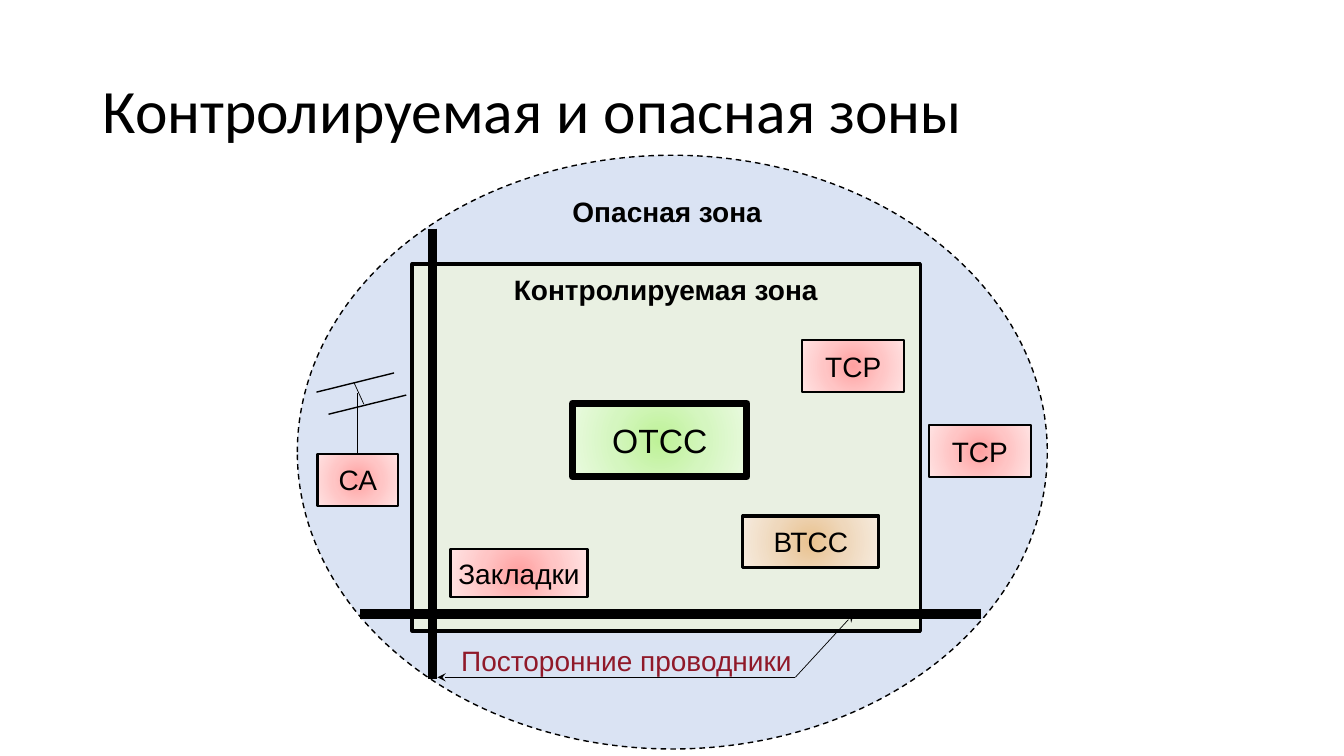
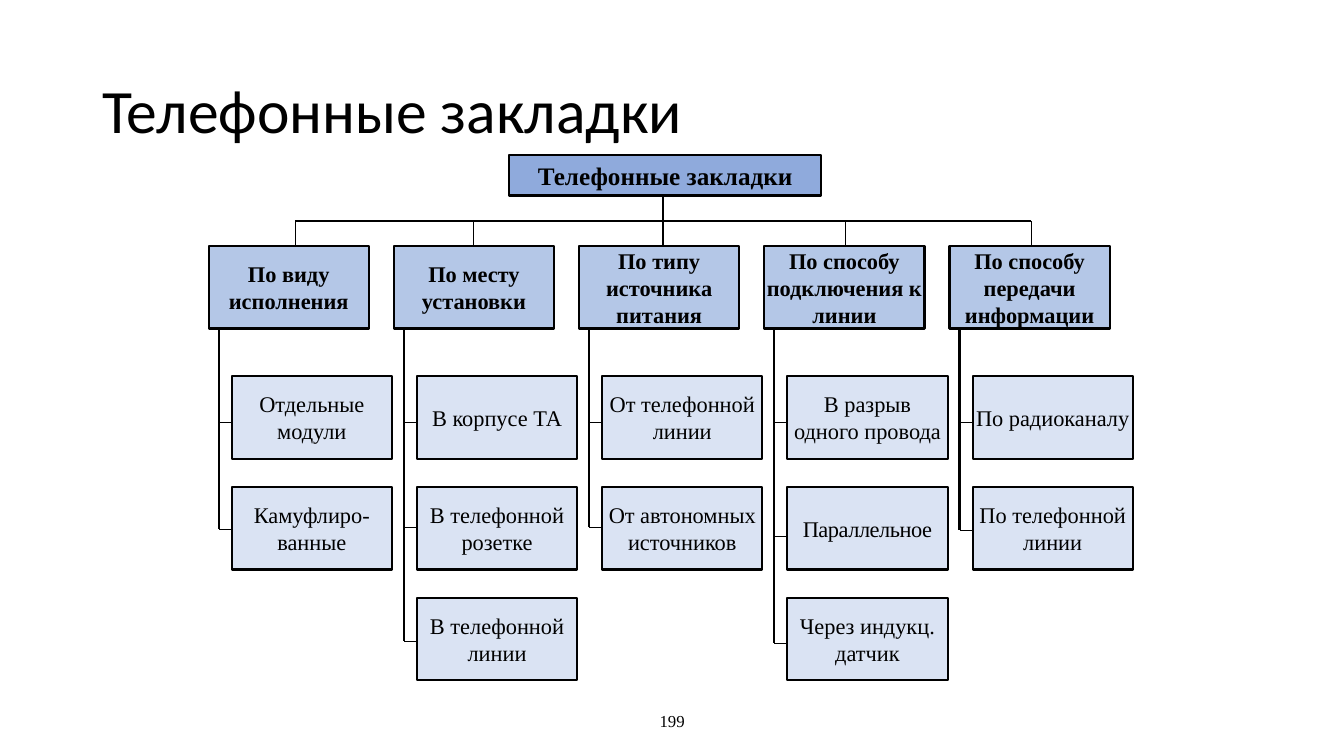
"""Builds two slides: controlled and dangerous zones, and a tree of telephone bugs."""
from dataclasses import dataclass
from typing import NamedTuple

from lxml import etree
from pptx import Presentation
from pptx.dml.color import RGBColor
from pptx.enum.dml import MSO_LINE
from pptx.enum.shapes import MSO_CONNECTOR, MSO_SHAPE
from pptx.enum.text import MSO_ANCHOR, PP_ALIGN
from pptx.oxml import parse_xml
from pptx.oxml.ns import nsdecls, qn
from pptx.slide import Slide
from pptx.util import Pt

RECTANGLE = MSO_SHAPE.RECTANGLE
OVAL = MSO_SHAPE.OVAL
STRAIGHT = MSO_CONNECTOR.STRAIGHT
DASH = MSO_LINE.DASH
TOP = MSO_ANCHOR.TOP
MIDDLE = MSO_ANCHOR.MIDDLE
LEFT = PP_ALIGN.LEFT
CENTER = PP_ALIGN.CENTER


class Rect(NamedTuple):
    left: float
    top: float
    width: float
    height: float


class Insets(NamedTuple):
    side: float
    edge: float


@dataclass(frozen=True)
class TextStyle:
    font: str
    size: float
    color: str = "000000"
    bold: bool = False
    align: PP_ALIGN = CENTER
    anchor: MSO_ANCHOR = MIDDLE
    insets: Insets = Insets(7.2, 3.6)
    line_spacing: float = 1.0


@dataclass(frozen=True)
class Theme:
    ink: str = "000000"
    danger: str = "DAE3F3"
    controlled: str = "E9F0E2"
    green: tuple[str, ...] = ("BEF297", "D5F6C0", "EAFAE0")
    orange: tuple[str, ...] = ("E9C28F", "EFD8BC", "F6EBDE")
    red: tuple[str, ...] = ("FFA0A0", "FFC5C5", "FFE3E3")
    root: str = "8FAADC"
    heading: str = "B4C7E7"
    leaf: str = "DAE3F3"
    title_text: TextStyle = TextStyle("Calibri", 44, align=LEFT, line_spacing=0.9)
    zone_text: TextStyle = TextStyle("Arial", 20, bold=True, anchor=TOP)
    device_text: TextStyle = TextStyle("Arial", 20, insets=Insets(2.9, 3.6))
    main_text: TextStyle = TextStyle("Arial", 24)
    wire_text: TextStyle = TextStyle("Arial", 20, "901929", insets=Insets(7.2, 2.9))
    root_text: TextStyle = TextStyle("Times New Roman", 18, bold=True)
    heading_text: TextStyle = TextStyle("Times New Roman", 16, bold=True, insets=Insets(1.44, 3.6))
    leaf_text: TextStyle = TextStyle("Times New Roman", 16, insets=Insets(1.44, 3.6))
    number_text: TextStyle = TextStyle("Times New Roman", 12)


@dataclass(frozen=True)
class Device:
    text: str
    rect: Rect
    colors: tuple[str, ...]
    line_width: float
    style: TextStyle


@dataclass(frozen=True)
class Line:
    x1: float
    y1: float
    x2: float
    y2: float
    width: float
    arrow_end: str = ""


@dataclass(frozen=True)
class Column:
    heading: str
    stub_x: float
    leaves: tuple[str, ...]
    branches: tuple[float, ...]


THEME = Theme()
TITLE_RECT = Rect(66.2, 28.8, 828, 104.4)
NUMBER_RECT = Rect(318.2, 500.4, 324, 28.8)

DEVICES = (
    Device("ВТСС", Rect(530.6, 368.6, 97.2, 36.7), THEME.orange, 2.25, THEME.device_text),
    Device("ОТСС", Rect(409, 288, 124.6, 52.6), THEME.green, 5, THEME.main_text),
    Device("ТСР", Rect(573.1, 242.6, 72.7, 37.4), THEME.red, 1.5, THEME.device_text),
    Device("Закладки", Rect(321.8, 392.4, 97.9, 33.8), THEME.red, 1.5, THEME.device_text),
    Device("ТСР", Rect(663.5, 303.5, 72.7, 37.4), THEME.red, 1.5, THEME.device_text),
    Device("СА", Rect(226.8, 324, 57.6, 37.4), THEME.red, 1.5, THEME.device_text),
)
ZONE_LINES = (
    Line(308.9, 163.4, 308.9, 485.3, 6.75),
    Line(257, 438.5, 700.6, 438.5, 6.75),
    Line(226.1, 280.1, 281.5, 266.4, 1),
    Line(234.7, 295.9, 290.2, 282.2, 1),
    Line(252.7, 272.9, 259.9, 288.7, 0.5),
    Line(255.6, 280.8, 255.6, 324, 0.5),
    Line(312.5, 483.8, 568.1, 483.8, 0.25, "headEnd"),
    Line(568.1, 483.8, 609.8, 438.5, 0.5, "tailEnd"),
)

ROOT_RECT = Rect(363.6, 110.9, 223.2, 28.8)
BUS_Y = 157.7
STEM_X = 473.8
FIRST_HEADING = Rect(149, 175.7, 114.5, 59)
COLUMN_PITCH = 132.3
LEAF_INDENT = 16.5
LEAF_TOP = 268.6
LEAF_PITCH = 79.2
TRUNK_INDENT = 7.2
TIGHT_LEAF = "Параллельное"
COLUMNS = (
    Column("По виду исполнения", 211, ("Отдельные модули", "Камуфлиро-ванные"), (301.7, 378)),
    Column("По месту установки", 338.4,
           ("В корпусе ТА", "В телефонной розетке", "В телефонной линии"), (301.7, 376.6, 457.9)),
    Column("По типу источника питания", STEM_X,
           ("От телефонной линии", "От автономных источников"), (301.7, 376.6)),
    Column("По способу подключения к линии", 604.1,
           ("В разрыв одного провода", TIGHT_LEAF, "Через индукц. датчик"), (301.7, 383, 459.4)),
    Column("По способу передачи информации", 736.6,
           ("По радиоканалу", "По телефонной линии"), (301.7, 378.7)),
)


def write_text(shape, text: str, style: TextStyle) -> None:
    frame = shape.text_frame
    frame.text = text
    frame.word_wrap = True
    frame.vertical_anchor = style.anchor
    frame.margin_left = frame.margin_right = Pt(style.insets.side)
    frame.margin_top = frame.margin_bottom = Pt(style.insets.edge)
    para = frame.paragraphs[0]
    para.alignment = style.align
    para.line_spacing = style.line_spacing
    for span in para.runs:
        span.font.name = style.font
        span.font.size = Pt(style.size)
        span.font.bold = style.bold
        span.font.color.rgb = RGBColor.from_string(style.color)


def add_label(page: Slide, rect: Rect, text: str, style: TextStyle) -> None:
    write_text(page.shapes.add_textbox(*map(Pt, rect)), text, style)


def add_box(page: Slide, rect: Rect, colors: tuple[str, ...], line_width: float, kind: MSO_SHAPE = RECTANGLE):
    shape = page.shapes.add_shape(kind, *map(Pt, rect))
    shape.shadow.inherit = False
    if len(colors) == 1:
        shape.fill.solid()
        shape.fill.fore_color.rgb = RGBColor.from_string(colors[0])
    else:
        fill_radial(shape, colors)
    shape.line.color.rgb = RGBColor.from_string(THEME.ink)
    shape.line.width = Pt(line_width)
    return shape


def fill_radial(shape, colors: tuple[str, ...]) -> None:
    step = 100000 // (len(colors) - 1)
    stops = "".join(
        f'<a:gs pos="{index * step}"><a:srgbClr val="{color}"/></a:gs>' for index, color in enumerate(colors)
    )
    gradient = parse_xml(
        f'<a:gradFill {nsdecls("a")} rotWithShape="1"><a:gsLst>{stops}</a:gsLst><a:path path="circle">'
        '<a:fillToRect l="50000" t="50000" r="50000" b="50000"/></a:path></a:gradFill>'
    )
    shape._element.spPr.find(qn("a:prstGeom")).addnext(gradient)


def add_line(page: Slide, line: Line) -> None:
    connector = page.shapes.add_connector(STRAIGHT, Pt(line.x1), Pt(line.y1), Pt(line.x2), Pt(line.y2))
    connector.line.color.rgb = RGBColor.from_string(THEME.ink)
    connector.line.width = Pt(line.width)
    properties = connector._element.spPr
    if line.arrow_end:
        etree.SubElement(properties.find(qn("a:ln")), qn(f"a:{line.arrow_end}"), type="stealth")
    etree.SubElement(properties, qn("a:effectLst"))


def add_page(deck, title: str) -> Slide:
    page = deck.slides.add_slide(deck.slide_layouts[6])
    add_label(page, TITLE_RECT, title, THEME.title_text)
    return page


def build_zones(deck) -> None:
    page = add_page(deck, "Контролируемая и опасная зоны")
    danger = add_box(page, Rect(212.4, 110.9, 535.7, 424.1), (THEME.danger,), 1, OVAL)
    danger.line.dash_style = DASH
    add_box(page, Rect(294.5, 188.6, 362.9, 262.1), (THEME.controlled,), 2.5)
    for device in DEVICES:
        shape = add_box(page, device.rect, device.colors, device.line_width)
        write_text(shape, device.text, device.style)
    add_label(page, Rect(310.3, 190.8, 330.5, 37.4), "Контролируемая зона", THEME.zone_text)
    add_label(page, Rect(378.7, 135.4, 195.8, 37.4), "Опасная зона", THEME.zone_text)
    add_label(page, Rect(315.4, 455.8, 264.2, 31), "Посторонние проводники", THEME.wire_text)
    for line in ZONE_LINES:
        add_line(page, line)


def add_column(page: Slide, column: Column, index: int) -> None:
    heading = FIRST_HEADING._replace(left=FIRST_HEADING.left + index * COLUMN_PITCH)
    write_text(add_box(page, heading, (THEME.heading,), 1.5), column.heading, THEME.heading_text)
    if column.stub_x != STEM_X:
        add_line(page, Line(column.stub_x, BUS_Y, column.stub_x, heading.top, 0.5))
    trunk_x = heading.left + TRUNK_INDENT
    add_line(page, Line(trunk_x, heading.top + heading.height, trunk_x, column.branches[-1], 1.5))
    for row, (text, branch_y) in enumerate(zip(column.leaves, column.branches)):
        leaf = heading._replace(left=heading.left + LEAF_INDENT, top=LEAF_TOP + row * LEAF_PITCH)
        shape = add_box(page, leaf, (THEME.leaf,), 1.5)
        write_text(shape, text, THEME.leaf_text)
        if text == TIGHT_LEAF:
            shape.text_frame.paragraphs[0].runs[0]._r.get_or_add_rPr().set("spc", "-30")
        add_line(page, Line(leaf.left, branch_y, trunk_x, branch_y, 0.5))


def build_bug_tree(deck) -> None:
    page = add_page(deck, "Телефонные закладки")
    add_label(page, NUMBER_RECT, "199", THEME.number_text)
    write_text(add_box(page, ROOT_RECT, (THEME.root,), 1.5), "Телефонные закладки", THEME.root_text)
    add_line(page, Line(COLUMNS[0].stub_x, BUS_Y, COLUMNS[-1].stub_x, BUS_Y, 1.5))
    add_line(page, Line(STEM_X, ROOT_RECT.top + ROOT_RECT.height, STEM_X, FIRST_HEADING.top, 1.5))
    for index, column in enumerate(COLUMNS):
        add_column(page, column, index)


def main() -> None:
    deck = Presentation()
    deck.slide_width, deck.slide_height = Pt(960), Pt(540)
    build_zones(deck)
    build_bug_tree(deck)
    deck.save("out.pptx")


if __name__ == "__main__":
    main()
